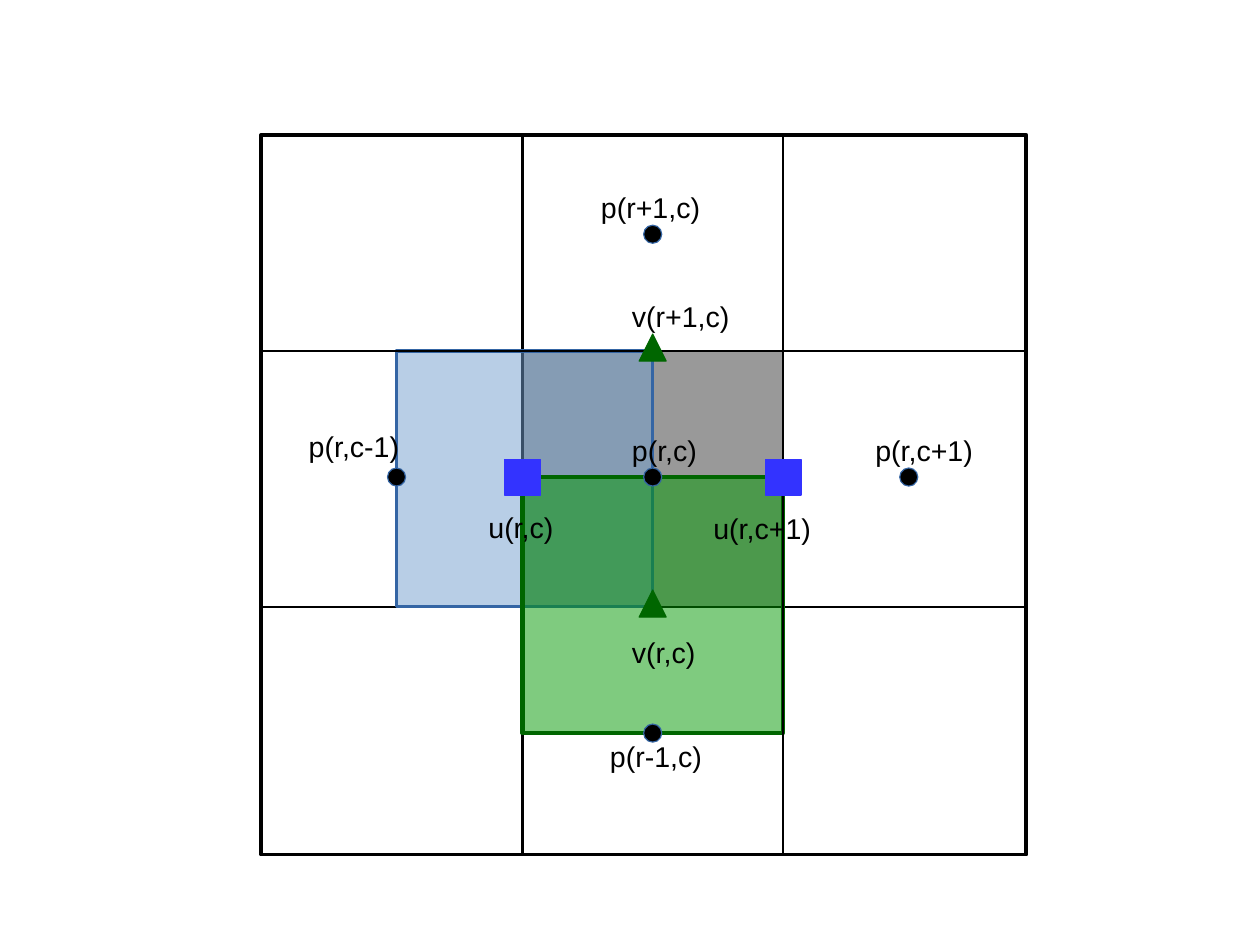
import collections
import pptx
import pptx.dml.color
import pptx.enum.shapes
import pptx.enum.text
import pptx.oxml.ns
import pptx.util
import lxml.etree

Pt = pptx.util.Pt
Color = pptx.dml.color.RGBColor
Kind = pptx.enum.shapes.MSO_SHAPE
Box = collections.namedtuple("Box", "left top width height")

BLACK = Color(0x00, 0x00, 0x00)
GREY = Color(0x99, 0x99, 0x99)
STEEL = Color(0x34, 0x65, 0xA4)
LIGHT_BLUE = Color(0x72, 0x9F, 0xCF)
GREEN = Color(0x00, 0x99, 0x00)
DARK_GREEN = Color(0x00, 0x66, 0x00)
BLUE = Color(0x33, 0x33, 0xFF)

CELL = 161.3
WEST, EAST = 164.6, 328.8
NORTH = 136
SOUTH = NORTH + CELL
CENTRE_X = (WEST + EAST) / 2
CENTRE_Y = 215.6
ABOVE_Y = 62.6


def add_area(page, kind, box, fill, line, width=0, opacity=100):
    area = page.shapes.add_shape(kind, *(Pt(value) for value in box))
    area.shadow.inherit = False
    area.line.color.rgb = line
    area.line.width = Pt(width)
    if fill is None:
        area.fill.background()
        return
    area.fill.solid()
    area.fill.fore_color.rgb = fill
    if opacity < 100:
        color = area.fill._xPr.find(".//" + pptx.oxml.ns.qn("a:srgbClr"))
        alpha = lxml.etree.SubElement(color, pptx.oxml.ns.qn("a:alpha"))
        alpha.set("val", str(opacity * 1000))


def add_rule(page, x1, y1, x2, y2):
    rule = page.shapes.add_connector(
        pptx.enum.shapes.MSO_CONNECTOR.STRAIGHT, Pt(x1), Pt(y1), Pt(x2), Pt(y2))
    rule.line.color.rgb = BLACK
    rule.line.width = Pt(1.5)
    lxml.etree.SubElement(rule._element.spPr, pptx.oxml.ns.qn("a:effectLst"))


def add_column_rule(page, box, x):
    add_rule(page, box.left + x, box.top, box.left + x, box.top + box.height)


def add_row_rule(page, box, y):
    add_rule(page, box.left, box.top + y, box.left + box.width, box.top + y)


def add_label(page, left, top, width, text):
    label = page.shapes.add_textbox(Pt(left), Pt(top), Pt(width), Pt(27.4))
    frame = label.text_frame
    frame.word_wrap = True
    frame.auto_size = pptx.enum.text.MSO_AUTO_SIZE.SHAPE_TO_FIT_TEXT
    span = frame.paragraphs[0].add_run()
    span.text = text
    span.font.name = "Arial"
    span.font.size = Pt(18)
    span.font.color.rgb = BLACK


def draw_grid(page, box):
    width = EAST - WEST
    left, top = box.left + WEST, box.top + NORTH
    add_area(page, Kind.RECTANGLE, Box(left, top, width, CELL), GREY, STEEL)
    add_area(page, Kind.RECTANGLE, box, None, BLACK, 2.3)
    add_column_rule(page, box, WEST)
    add_row_rule(page, box, SOUTH)
    add_area(page, Kind.RECTANGLE,
             Box(box.left + CENTRE_X - CELL, top, CELL, CELL),
             LIGHT_BLUE, STEEL, 2.3, 50)
    add_area(page, Kind.RECTANGLE,
             Box(left, box.top + CENTRE_Y, width, CELL),
             GREEN, DARK_GREEN, 3, 50)
    add_column_rule(page, box, EAST)
    add_row_rule(page, box, NORTH)


def draw_variables(page, box):
    styles = {
        "u": (Kind.RECTANGLE, 22.6, BLUE, BLUE),
        "v": (Kind.ISOSCELES_TRIANGLE, 17, DARK_GREEN, DARK_GREEN),
        "p": (Kind.OVAL, 11.4, BLACK, STEEL),
    }
    variables = [
        ("u(r,c)", WEST, CENTRE_Y, -28.5, 17, 57),
        ("u(r,c+1)", EAST, CENTRE_Y, -51, 17.6, 79),
        ("v(r,c)", CENTRE_X, SOUTH - 2, -20.2, 16.5, 63),
        ("v(r+1,c)", CENTRE_X, NORTH - 2, -20.2, -34.5, 79),
        ("p(r,c)", CENTRE_X, CENTRE_Y, -20.2, -31.3, 63),
        ("p(r+1,c)", CENTRE_X, ABOVE_Y, -39.7, -31.6, 85),
        ("p(r-1,c)", CENTRE_X, CENTRE_Y + CELL, -34, 0, 85),
        ("p(r,c-1)", CENTRE_X - CELL, CENTRE_Y, -62.5, -34.2, 85),
        ("p(r,c+1)", CENTRE_X + CELL, CENTRE_Y, -28.2, -31.3, 85),
    ]
    for text, x, y, shift_x, shift_y, width in variables:
        kind, size, fill, line = styles[text[0]]
        x, y = box.left + x, box.top + y
        marker = Box(x - size / 2, y - size / 2, size, size)
        add_area(page, kind, marker, fill, line)
        add_label(page, x + shift_x, y + shift_y, width, text)


def main():
    deck = pptx.Presentation()
    deck.slide_width = Pt(793.6)
    deck.slide_height = Pt(595.4)
    page = deck.slides.add_slide(deck.slide_layouts[6])
    box = Box(164.4, 85, 482, 453.5)
    draw_grid(page, box)
    draw_variables(page, box)
    deck.save("out.pptx")


if __name__ == "__main__":
    main()
